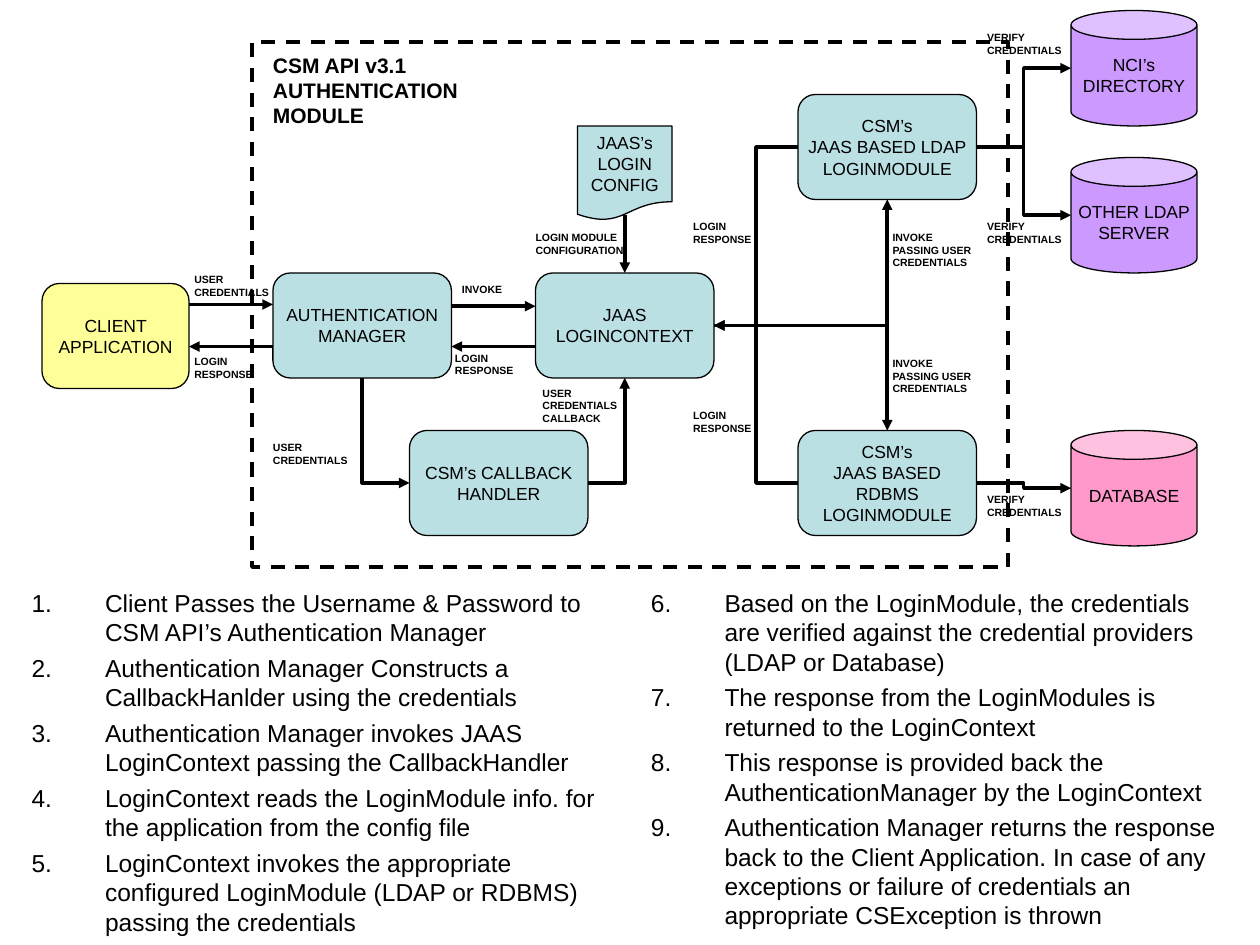
from lxml import etree
from pptx import Presentation
from pptx.dml.color import RGBColor
from pptx.enum.dml import MSO_LINE
from pptx.enum.shapes import MSO_CONNECTOR, MSO_SHAPE
from pptx.enum.text import MSO_ANCHOR, MSO_AUTO_SIZE, PP_ALIGN
from pptx.oxml.ns import qn
from pptx.util import Pt

RECT, ROUNDED = MSO_SHAPE.RECTANGLE, MSO_SHAPE.ROUNDED_RECTANGLE
DOCUMENT, CAN = MSO_SHAPE.FLOWCHART_DOCUMENT, MSO_SHAPE.CAN
STRAIGHT, ELBOW = MSO_CONNECTOR.STRAIGHT, MSO_CONNECTOR.ELBOW
DASH = MSO_LINE.DASH
MIDDLE, TOP = MSO_ANCHOR.MIDDLE, MSO_ANCHOR.TOP
CENTER, LEFT = PP_ALIGN.CENTER, PP_ALIGN.LEFT
NO_AUTOFIT = MSO_AUTO_SIZE.NONE

FONT = "Arial"
COLORS = {
    "ink": "000000",
    "client": "FFFF99",
    "module": "BBE0E3",
    "directory": "CC99FF",
    "database": "FF99CC",
}
MODULE_SIZE, CAN_SIZE = (102, 60), (72, 66)

NODES = {
    "client": (ROUNDED, "client", 0, 156, (84, 60), ["CLIENT APPLICATION"]),
    "manager": (ROUNDED, "module", 132, 150, MODULE_SIZE, ["AUTHENTICATION MANAGER"]),
    "callback": (ROUNDED, "module", 210, 240, MODULE_SIZE, ["CSM’s CALLBACK HANDLER"]),
    "context": (ROUNDED, "module", 282, 150, MODULE_SIZE, ["JAAS LOGINCONTEXT"]),
    "config": (DOCUMENT, "module", 306, 66, (54, 54), ["JAAS’s LOGIN CONFIG"]),
    "ldap": (ROUNDED, "module", 432, 48, MODULE_SIZE, ["CSM’s", "JAAS BASED LDAP LOGINMODULE"]),
    "directory": (CAN, "directory", 588, 0, CAN_SIZE, ["NCI’s DIRECTORY"]),
    "other_ldap": (CAN, "directory", 588, 84, CAN_SIZE, ["OTHER LDAP", "SERVER"]),
    "rdbms": (ROUNDED, "module", 432, 240, MODULE_SIZE, ["CSM’s", "JAAS BASED RDBMS LOGINMODULE"]),
    "database": (CAN, "database", 588, 240, CAN_SIZE, ["DATABASE"]),
}
CORNER_ARROWS = [
    ("callback", "right", "context", "bottom"),
    ("context", "right", "ldap", "bottom"),
    ("context", "right", "rdbms", "top"),
]
STEPPED_ARROWS = [
    ("rdbms", "left", "context", "right"),
    ("ldap", "left", "context", "right"),
    ("ldap", "right", "other_ldap", "left"),
    ("ldap", "right", "directory", "left"),
    ("rdbms", "right", "database", "left"),
]
CREDENTIALS = ["USER CREDENTIALS"]
RESPONSE = ["LOGIN RESPONSE"]
INVOKE = ["INVOKE PASSING USER CREDENTIALS"]
VERIFY = ["VERIFY CREDENTIALS"]
LABELS = [
    (87, 150, 48, 14.4, CREDENTIALS),
    (240, 156, 48, 7.2, ["INVOKE"]),
    (87, 197, 48, 14.4, RESPONSE),
    (236, 195, 48, 14.4, RESPONSE),
    (282, 126, 54, 14.4, ["LOGIN MODULE CONFIGURATION"]),
    (132, 246, 48, 14.4, CREDENTIALS),
    (286, 215, 48, 21.6, CREDENTIALS + ["CALLBACK"]),
    (486, 126, 48, 21.6, INVOKE),
    (486, 198, 48, 21.6, INVOKE),
    (540, 276, 48, 14.4, VERIFY),
    (540, 120, 48, 14.4, VERIFY),
    (540, 12, 48, 14.4, VERIFY),
    (372, 228, 48, 14.4, RESPONSE),
    (372, 120, 48, 14.4, RESPONSE),
]
STEPS = [
    "Client Passes the Username & Password to CSM API’s Authentication Manager",
    "Authentication Manager Constructs a CallbackHanlder using the credentials",
    "Authentication Manager invokes JAAS LoginContext passing the CallbackHandler",
    "LoginContext reads the LoginModule info. for the application from the config file",
    "LoginContext invokes the appropriate configured LoginModule (LDAP or RDBMS) passing the credentials",
    "Based on the LoginModule, the credentials are verified against the credential providers (LDAP or Database)",
    "The response from the LoginModules is returned to the LoginContext",
    "This response is provided back the AuthenticationManager by the LoginContext",
    "Authentication Manager returns the response back to the Client Application. "
    "In case of any exceptions or failure of credentials an appropriate CSException is thrown",
]


def color(key):
    return RGBColor.from_string(COLORS[key])


def write(frame, lines, size, bold=False, align=LEFT, anchor=TOP, insets=(0, 0, 0, 0)):
    frame.word_wrap = True
    frame.auto_size = NO_AUTOFIT
    frame.vertical_anchor = anchor
    frame.margin_left, frame.margin_top, frame.margin_right, frame.margin_bottom = map(Pt, insets)
    for index, line in enumerate(lines):
        paragraph = frame.paragraphs[0] if index == 0 else frame.add_paragraph()
        paragraph.alignment = align
        run = paragraph.add_run()
        run.text = line
        run.font.name, run.font.size, run.font.bold = FONT, Pt(size), bold
        run.font.color.rgb = color("ink")


def add_node(slide, left, top, kind, fill, x, y, size, lines):
    node = slide.shapes.add_shape(kind, Pt(left + x), Pt(top + y), *map(Pt, size))
    node.shadow.inherit = False
    node.fill.solid()
    node.fill.fore_color.rgb = color(fill)
    node.line.color.rgb = color("ink")
    node.line.width = Pt(0.75)
    write(node.text_frame, lines, 10, align=CENTER, anchor=MIDDLE, insets=(0, 3.6, 0, 3.6))
    return node


def side(node, name):
    middle_x, middle_y = node.left + node.width // 2, node.top + node.height // 2
    return {
        "left": (node.left, middle_y),
        "right": (node.left + node.width, middle_y),
        "top": (middle_x, node.top),
        "bottom": (middle_x, node.top + node.height),
    }[name]


def add_arrow(slide, kind, start, end, corner=False, arrowhead="tailEnd"):
    arrow = slide.shapes.add_connector(kind, *start, *end)
    arrow.line.color.rgb = color("ink")
    arrow.line.width = Pt(2)
    properties = arrow.line._get_or_add_ln()
    etree.SubElement(properties, qn(f"a:{arrowhead}"), type="triangle")
    etree.SubElement(arrow._element.spPr, qn("a:effectLst"))
    if corner:
        arrow._element.spPr.find(qn("a:prstGeom")).set("prst", "bentConnector2")


def add_label(slide, left, top, width, height, lines, size=6):
    label = slide.shapes.add_textbox(Pt(left), Pt(top), Pt(width), Pt(height))
    write(label.text_frame, lines, size, bold=True)


def add_diagram(slide, left, top):
    boundary = slide.shapes.add_shape(RECT, Pt(left + 120), Pt(top + 18), Pt(432), Pt(300))
    boundary.shadow.inherit = False
    boundary.fill.background()
    boundary.line.color.rgb = color("ink")
    boundary.line.width = Pt(2)
    boundary.line.dash_style = DASH

    nodes = {key: add_node(slide, left, top, *node) for key, node in NODES.items()}
    for first, second, request_y in (("client", "manager", 18), ("manager", "context", 19)):
        near, far = side(nodes[first], "right")[0], nodes[second].left
        request, reply = (nodes["manager"].top + Pt(y) for y in (request_y, 42))
        add_arrow(slide, STRAIGHT, (near, request), (far, request))
        add_arrow(slide, STRAIGHT, (far, reply), (near, reply))
    config_x, config_bottom = side(nodes["config"], "bottom")
    add_arrow(slide, STRAIGHT, (config_x, config_bottom - Pt(3)), side(nodes["context"], "top"))
    add_arrow(slide, ELBOW, side(nodes["callback"], "left"), side(nodes["manager"], "bottom"),
              corner=True, arrowhead="headEnd")
    for arrows, corner in ((CORNER_ARROWS, True), (STEPPED_ARROWS, False)):
        for source, exit_side, target, entry_side in arrows:
            add_arrow(slide, ELBOW, side(nodes[source], exit_side),
                      side(nodes[target], entry_side), corner)

    for x, y, width, height, lines in LABELS:
        add_label(slide, left + x, top + y, width, height, lines)
    add_label(slide, left + 132, top + 24, 126, 43.2, ["CSM API v3.1 AUTHENTICATION MODULE"], 12)


def add_steps(column, left, top, steps, first_number):
    column.left, column.top, column.width, column.height = map(Pt, (left, top, 336, 204))
    write(column.text_frame, steps, 14, insets=(0, 0, 7.2, 0))
    for index, paragraph in enumerate(column.text_frame.paragraphs):
        paragraph.space_before = Pt(3.5 if index else 0)
        properties = paragraph._p.get_or_add_pPr()
        properties.set("marL", str(Pt(42)))
        properties.set("indent", str(-Pt(42)))
        bullet_color = etree.SubElement(properties, qn("a:buClr"))
        etree.SubElement(bullet_color, qn("a:srgbClr"), val=COLORS["ink"])
        etree.SubElement(properties, qn("a:buFont"), typeface=FONT)
        etree.SubElement(properties, qn("a:buAutoNum"), type="arabicPeriod", startAt=str(first_number))


def main():
    presentation = Presentation()
    presentation.slide_width, presentation.slide_height = Pt(720), Pt(540)
    slide = presentation.slides.add_slide(presentation.slide_layouts.get_by_name("Two Content"))
    title, first_column, second_column = slide.placeholders
    title._element.getparent().remove(title._element)
    add_diagram(slide, 24, 6)
    add_steps(first_column, 18, 336, STEPS[:5], 1)
    add_steps(second_column, 372, 336, STEPS[5:], 6)
    presentation.save("out.pptx")


if __name__ == "__main__":
    main()
